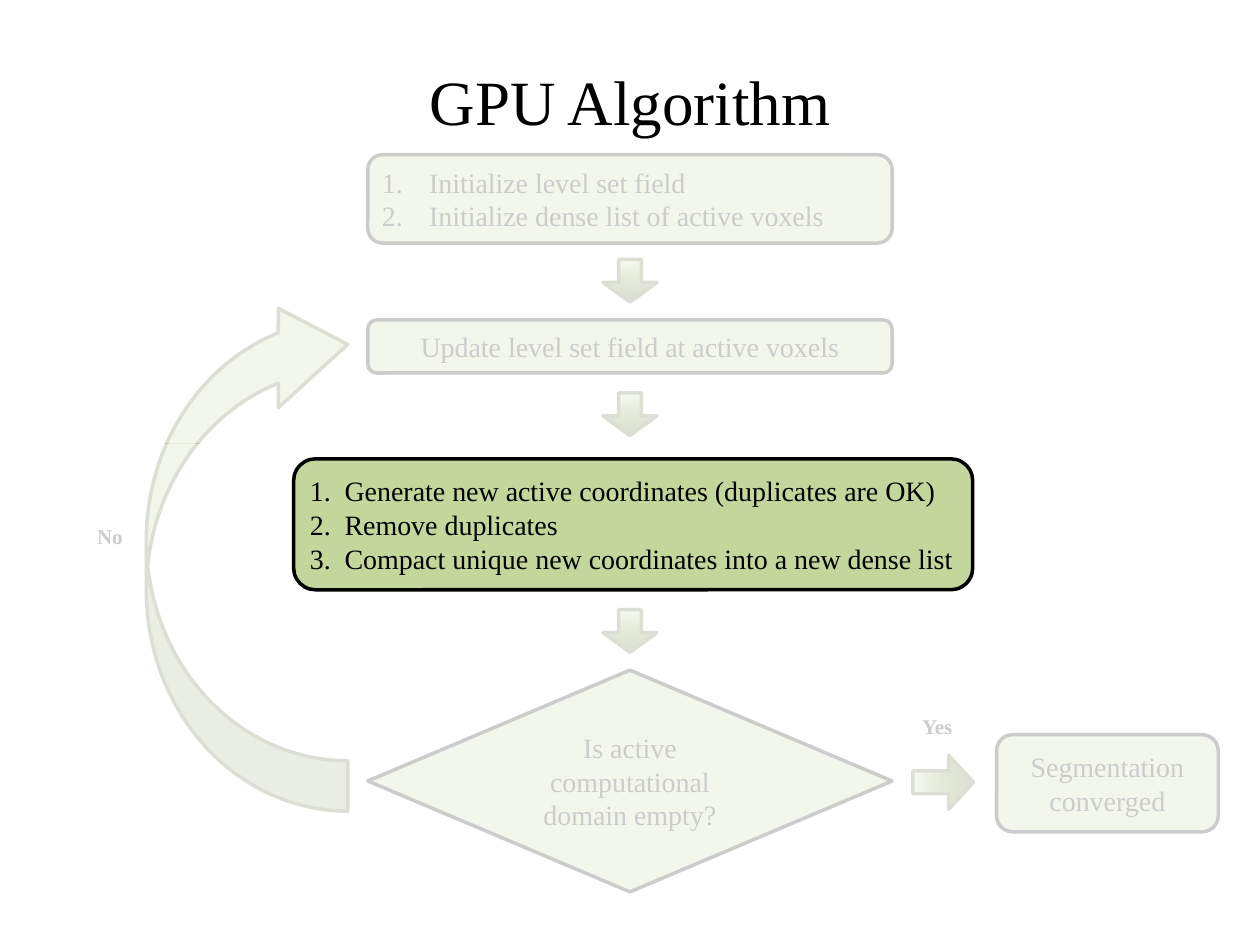
from lxml.etree import SubElement as Sub
from pptx import Presentation
from pptx.dml.color import RGBColor
from pptx.enum.shapes import MSO_SHAPE as Kind
from pptx.enum.text import MSO_ANCHOR as Anchor, PP_ALIGN as Align
from pptx.oxml.ns import qn
from pptx.util import Cm, Pt

FONT = "Times New Roman"
GREEN, DARK, BLACK, WHITE = "C3D69B", "4F6228", "000000", "FFFFFF"
STOPS = [(0, "D7E4BD"), (50, "77933C"), (100, DARK)]
MID = 12.7
WIDE = 10.57


def color(text):
    return RGBColor.from_string(text)


def write(frame, lines, size=16, bold=False, align=Align.CENTER,
          anchor=Anchor.MIDDLE, inset=(0.2, 0.1), hang=0):
    frame.word_wrap = True
    frame.vertical_anchor = anchor
    frame.margin_left = frame.margin_right = Cm(inset[0])
    frame.margin_top = frame.margin_bottom = Cm(inset[1])
    for n, line in enumerate(lines):
        para = frame.paragraphs[0] if n == 0 else frame.add_paragraph()
        para.text = line
        para.alignment = align
        if hang:
            props = para._p.get_or_add_pPr()
            props.set("marL", str(Cm(hang)))
            props.set("indent", str(-Cm(hang)))
            Sub(props, qn("a:buFont"), typeface="+mj-lt")
            Sub(props, qn("a:buAutoNum"), type="arabicPeriod")
        font = para.runs[0].font
        font.name, font.size, font.bold = FONT, Pt(size), bold
        font.color.rgb = color(BLACK)


def draw(slide, kind, box, fill=GREEN, line=BLACK):
    shape = slide.shapes.add_shape(kind, *map(Cm, box))
    shape.shadow.inherit = False
    shape.fill.solid()
    shape.fill.fore_color.rgb = color(fill)
    if line:
        shape.line.color.rgb = color(line)
        shape.line.width = Pt(2)
    else:
        shape.line.fill.background()
    return shape


def node(slide, box, lines, kind=Kind.ROUNDED_RECTANGLE, **form):
    write(draw(slide, kind, box).text_frame, lines, **form)


def steps(slide, box, lines, hang):
    node(slide, box, lines, align=Align.LEFT, hang=hang)


def arrow(slide, box, turn=0):
    shape = draw(slide, Kind.DOWN_ARROW, box, line=DARK)
    shape.adjustments[0], shape.adjustments[1] = 0.42, 0.46
    shape.rotation = turn
    shape.fill.gradient()
    grad = shape._element.spPr.find(qn("a:gradFill"))
    for part in list(grad):
        grad.remove(part)
    grad.set("rotWithShape", "1")
    stops = Sub(grad, qn("a:gsLst"))
    for place, tone in STOPS:
        stop = Sub(stops, qn("a:gs"), pos=str(place * 1000))
        Sub(stop, qn("a:srgbClr"), val=tone)
    Sub(grad, qn("a:lin"), ang="5400000", scaled="0")


def label(slide, x, y, text, **form):
    box = slide.shapes.add_textbox(Cm(x), Cm(y), Cm(1.83), Cm(1.02))
    write(box.text_frame, [text], size=12, bold=True, anchor=Anchor.TOP, **form)


def veil(slide, box):
    shape = draw(slide, Kind.RECTANGLE, box, WHITE, None)
    tone = shape._element.spPr.find(qn("a:solidFill"))[0]
    Sub(tone, qn("a:alpha"), val="80000")


def head(slide, box):
    title = slide.shapes.title
    title.left, title.top, title.width, title.height = map(Cm, box)
    write(title.text_frame, ["GPU Algorithm"], size=36)


def spine(slide, box):
    x, y, w, h = box
    for drop in (0, 2.69, 7.06):
        arrow(slide, (x + w / 2 - 0.545, y + drop, 1.09, 0.86))
    node(slide, (x, y + 1.22, w, 1.07),
         ["Update level set field at active voxels"])
    node(slide, (x, y + h - 4.47, w, 4.47),
         ["Is active computational domain empty?"], Kind.FLOWCHART_DECISION)


def leave(slide, box):
    x, y, w, h = box
    node(slide, (x + w - 4.47, y + h - 1.96, 4.47, 1.96),
         ["Segmentation converged"])
    arrow(slide, (x + 0.49, y + 0.91, 1.09, 1.22), 270)
    label(slide, x, y, "Yes", inset=(0.25, 0.13))


def back(slide, box):
    x, y, w, h = box
    bend = draw(slide, Kind.CURVED_LEFT_ARROW, (x + w - 4.06, y, 4.06, h),
                line=DARK)
    for n, part in enumerate((0.25, 0.494, 0.345)):
        bend.adjustments[n] = part
    bend.rotation = 180
    label(slide, x, y + 4.52, "No")


def main():
    deck = Presentation()
    deck.slide_width, deck.slide_height = Cm(25.4), Cm(19.05)
    slide = deck.slides.add_slide(deck.slide_layouts[5])
    left = MID - WIDE / 2
    head(slide, (0, 0.43, 25.4, 3.18))
    spine(slide, (left, 5.23, WIDE, 12.75))
    leave(slide, (17.98, 14.25, 6.58, 2.52))
    back(slide, (1.3, 5.94, 5.71, 10.41))
    veil(slide, (1.07, 12.14, 23.55, 5.97))
    veil(slide, (1.47, 8.94, 3.61, 3.2))
    steps(slide, (5.92, 9.25, 13.69, 2.64),
          ["Generate new active coordinates (duplicates are OK)",
           "Remove duplicates",
           "Compact unique new coordinates into a new dense list"], 0.7)
    steps(slide, (left, 3.12, WIDE, 1.78),
          ["Initialize level set field",
           "Initialize dense list of active voxels"], 0.95)
    veil(slide, (1.3, 2.97, 23.55, 5.97))
    deck.save("out.pptx")


if __name__ == "__main__":
    main()
